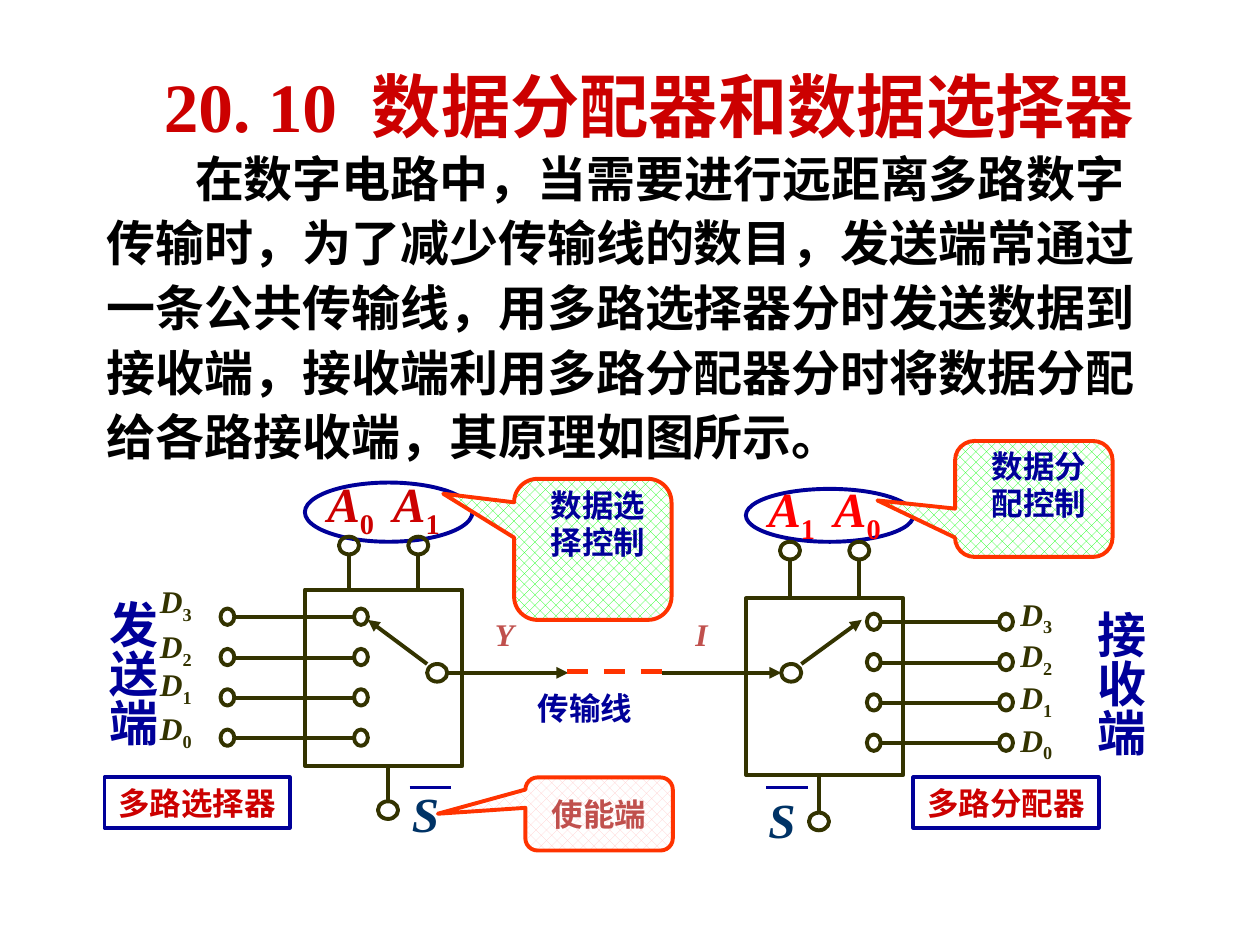
from dataclasses import dataclass

from lxml.etree import SubElement
from pptx import Presentation
from pptx.dml.color import RGBColor
from pptx.enum.dml import MSO_LINE, MSO_PATTERN
from pptx.enum.shapes import MSO_CONNECTOR, MSO_SHAPE
from pptx.enum.text import MSO_ANCHOR, MSO_AUTO_SIZE, PP_ALIGN
from pptx.oxml.ns import qn
from pptx.util import Inches, Pt


@dataclass(frozen=True)
class Theme:
    font: str = "Times New Roman"
    title: float = 39.6
    large: float = 28
    small: float = 18
    line: float = 2.25
    black: str = "000000"
    red: str = "CC0000"
    bright_red: str = "FF0000"
    orange: str = "FF3300"
    rose: str = "C0504D"
    pink: str = "FFCCCC"
    green: str = "00FF00"
    white: str = "FFFFFF"
    navy: str = "000099"
    teal: str = "003366"
    olive: str = "333300"


@dataclass(frozen=True)
class Unit:
    """One switching unit: selector or distributor."""
    box: tuple[float, float]
    terminals: tuple[float, float]
    terminal_top: float
    data_left: float
    data_tops: tuple[float, ...]
    pins: tuple[float, float]
    pin_top: float
    address: str
    address_left: float
    address_color: str
    ellipse: tuple[float, float, float, float]
    hub: float
    enable: tuple[float, float]
    enable_label: tuple[float, float]
    name: str
    name_left: float
    side: str
    side_at: tuple[float, float]


@dataclass(frozen=True)
class Callout:
    at: tuple[float, float, float, float]
    tip: tuple[float, float]
    pattern: str
    lines: tuple[str, ...]
    color: str
    anchor: MSO_ANCHOR


THEME = Theme()
UNITS = (
    Unit((2.42, 4.68), (1.75, 2.81), 4.83, 1.17, (4.57, 4.93, 5.23, 5.58),
         (2.69, 3.24), 4.26, "01", 2.5, THEME.red, (2.42, 3.83, 1.33, 0.47),
         3.39, (3.0, 6.36), (3.17, 6.17), "多路选择器", 0.83, "发送端", (0.66, 4.67)),
    Unit((5.92, 4.75), (6.88, 7.93), 4.87, 8.0, (4.67, 5.0, 5.33, 5.67),
         (6.19, 6.74), 4.3, "10", 6.0, THEME.bright_red, (5.92, 3.88, 1.33, 0.42),
         6.2, (6.42, 6.45), (6.0, 6.22), "多路分配器", 7.25, "接收端", (8.5, 4.75)),
)
CALLOUTS = (
    Callout((4.17, 6.17, 1.17, 0.58), (-1.094, -0.003), THEME.pink,
            ("使能端",), THEME.rose, MSO_ANCHOR.MIDDLE),
    Callout((4.08, 3.8, 1.25, 1.12), (-0.95, -0.394), THEME.green,
            ("数据选", "择控制"), THEME.navy, MSO_ANCHOR.TOP),
    Callout((7.58, 3.5, 1.25, 0.92), (-0.993, 0.013), THEME.green,
            ("数据分", "配控制"), THEME.navy, MSO_ANCHOR.TOP),
)
BODY = (
    "在数字电路中，当需要进行远距离多路数字",
    "传输时，为了减少传输线的数目，发送端常通过",
    "一条公共传输线，用多路选择器分时发送数据到",
    "接收端，接收端利用多路分配器分时将数据分配",
    "给各路接收端，其原理如图所示。",
)

presentation = Presentation()
presentation.slide_width, presentation.slide_height = Inches(10), Inches(7.5)
slide = presentation.slides.add_slide(presentation.slide_layouts[5])


def format_font(font, size: float, color: str) -> None:
    font.name, font.size, font.bold = THEME.font, Pt(size), True
    font.color.rgb = RGBColor.from_string(color)


def write(frame, lines: tuple[str, ...], size: float, color: str, align=PP_ALIGN.LEFT) -> None:
    for index, line in enumerate(lines):
        paragraph = frame.paragraphs[0] if index == 0 else frame.add_paragraph()
        paragraph.text = line
        paragraph.alignment = align
        format_font(paragraph.font, size, color)


def add_text(left: float, top: float, width: float, height: float, lines: tuple[str, ...],
             size: float, color: str, align=PP_ALIGN.LEFT):
    shape = slide.shapes.add_textbox(Inches(left), Inches(top), Inches(width), Inches(height))
    shape.text_frame.word_wrap = True
    write(shape.text_frame, lines, size, color, align)
    return shape


def add_symbol(left: float, top: float, letter: str, subscript: str, size: float, color: str) -> None:
    """Italic letter with an optional upright subscript."""
    shape = add_text(left, top, 0.64, 0.4 if size == THEME.small else 0.57, (letter,), size, color)
    paragraph = shape.text_frame.paragraphs[0]
    paragraph.runs[0].font.italic = True
    if subscript:
        run = paragraph.add_run()
        run.text = subscript
        run._r.get_or_add_rPr().set("baseline", "-25000")


def add_outline(kind: MSO_SHAPE, left: float, top: float, width: float, height: float, color: str):
    shape = slide.shapes.add_shape(kind, Inches(left), Inches(top), Inches(width), Inches(height))
    shape.shadow.inherit = False
    shape.fill.background()
    shape.line.color.rgb = RGBColor.from_string(color)
    shape.line.width = Pt(THEME.line)
    return shape


def add_ring(left: float, top: float, width: float = 0.16, height: float = 0.14) -> None:
    add_outline(MSO_SHAPE.OVAL, left, top, width, height, THEME.olive)


def add_line(x1: float, y1: float, x2: float, y2: float, color: str = THEME.olive, arrow: bool = False):
    line = slide.shapes.add_connector(MSO_CONNECTOR.STRAIGHT, Inches(x1), Inches(y1), Inches(x2), Inches(y2))
    line.line.color.rgb = RGBColor.from_string(color)
    line.line.width = Pt(THEME.line)
    if arrow:
        SubElement(line.element.spPr.find(qn("a:ln")), qn("a:tailEnd"), type="triangle")
    SubElement(line.element.spPr, qn("a:effectLst"))
    return line


def add_callout(callout: Callout) -> None:
    shape = add_outline(MSO_SHAPE.ROUNDED_RECTANGULAR_CALLOUT, *callout.at, THEME.orange)
    shape.adjustments[0], shape.adjustments[1] = callout.tip
    shape.fill.patterned()
    shape.fill.pattern = MSO_PATTERN.from_xml("pct40")
    shape.fill.fore_color.rgb = RGBColor.from_string(callout.pattern)
    shape.fill.back_color.rgb = RGBColor.from_string(THEME.white)
    frame = shape.text_frame
    frame.vertical_anchor = callout.anchor
    frame.word_wrap = False
    if callout.anchor == MSO_ANCHOR.TOP:
        frame.margin_left = Inches(0.18)
        frame.margin_top = Inches(0)
    write(frame, callout.lines, THEME.small, callout.color, PP_ALIGN.CENTER)


def add_unit(unit: Unit) -> None:
    # Box, terminals and data labels
    add_outline(MSO_SHAPE.RECTANGLE, *unit.box, 1.25, 1.4, THEME.olive)
    first, second = unit.terminals
    for row, label_top in enumerate(unit.data_tops):
        top = unit.terminal_top + 0.32 * row
        add_line(first + 0.11, top + 0.07, second, top + 0.07)
        for left in unit.terminals:
            add_ring(left, top, 0.11, 0.13)
        add_symbol(unit.data_left, label_top, "D", str(3 - row), THEME.small, THEME.olive)
    # Address pins
    for index, left in enumerate(unit.pins):
        add_ring(left, unit.pin_top)
        add_line(left + 0.08, unit.pin_top + 0.14, left + 0.08, unit.pin_top + 0.43)
        add_symbol(unit.address_left + 0.52 * index, unit.pin_top - 0.55, "A",
                   unit.address[index], THEME.large, unit.address_color)
    # Switch hub and enable pin
    add_ring(unit.hub, 5.27)
    left, top = unit.enable
    add_ring(left, top)
    add_line(left + 0.08, top - 0.28, left + 0.08, top)
    left, top = unit.enable_label
    add_symbol(left, top, "S", "", THEME.large, THEME.teal)
    add_line(left + 0.08, 6.25, left + 0.41, 6.25, THEME.navy)
    # Name plate and vertical side label
    plate = add_outline(MSO_SHAPE.RECTANGLE, unit.name_left, 6.17, 1.47, 0.4, THEME.navy)
    plate.text_frame.word_wrap = False
    write(plate.text_frame, (unit.name,), THEME.small, THEME.red, PP_ALIGN.CENTER)
    side = add_text(*unit.side_at, 0.67, 1.4, (unit.side,), THEME.large, THEME.navy)
    side.element.txBody.bodyPr.set("vert", "eaVert")


# Title and body
title = slide.shapes.title
title.left, title.top, title.width, title.height = Inches(1.08), Inches(0.5), Inches(8.14), Inches(0.67)
title.text_frame.auto_size = MSO_AUTO_SIZE.NONE
write(title.text_frame, ("20. 10  数据分配器和数据选择器",), THEME.title, THEME.red, PP_ALIGN.CENTER)
body = add_text(0.75, 1.08, 8.6, 2.67, BODY, THEME.large, THEME.black)
for paragraph in body.text_frame.paragraphs:
    paragraph.line_spacing = 1.1
body.text_frame.paragraphs[0]._p.get_or_add_pPr().set("indent", str(Inches(0.7)))

# Address ellipses lie below the callouts
for unit in UNITS:
    add_outline(MSO_SHAPE.OVAL, *unit.ellipse, THEME.navy)
for callout in CALLOUTS:
    add_callout(callout)
for unit in UNITS:
    add_unit(unit)

# Switch arms and transmission line
for arrow in ((3.39, 5.27, 2.92, 4.92), (6.36, 5.27, 6.84, 4.92),
              (3.55, 5.34, 4.51, 5.34), (5.25, 5.34, 6.2, 5.34)):
    add_line(*arrow, arrow=True)
link = add_line(4.5, 5.33, 5.33, 5.33, THEME.orange)
link.line.width, link.line.dash_style = Pt(3), MSO_LINE.DASH
add_symbol(3.83, 4.83, "Y", "", THEME.small, THEME.rose)
add_symbol(5.42, 4.83, "I", "", THEME.small, THEME.rose)
add_text(4.17, 5.42, 1.1, 0.4, ("传输线",), THEME.small, THEME.navy)

presentation.save("out.pptx")
